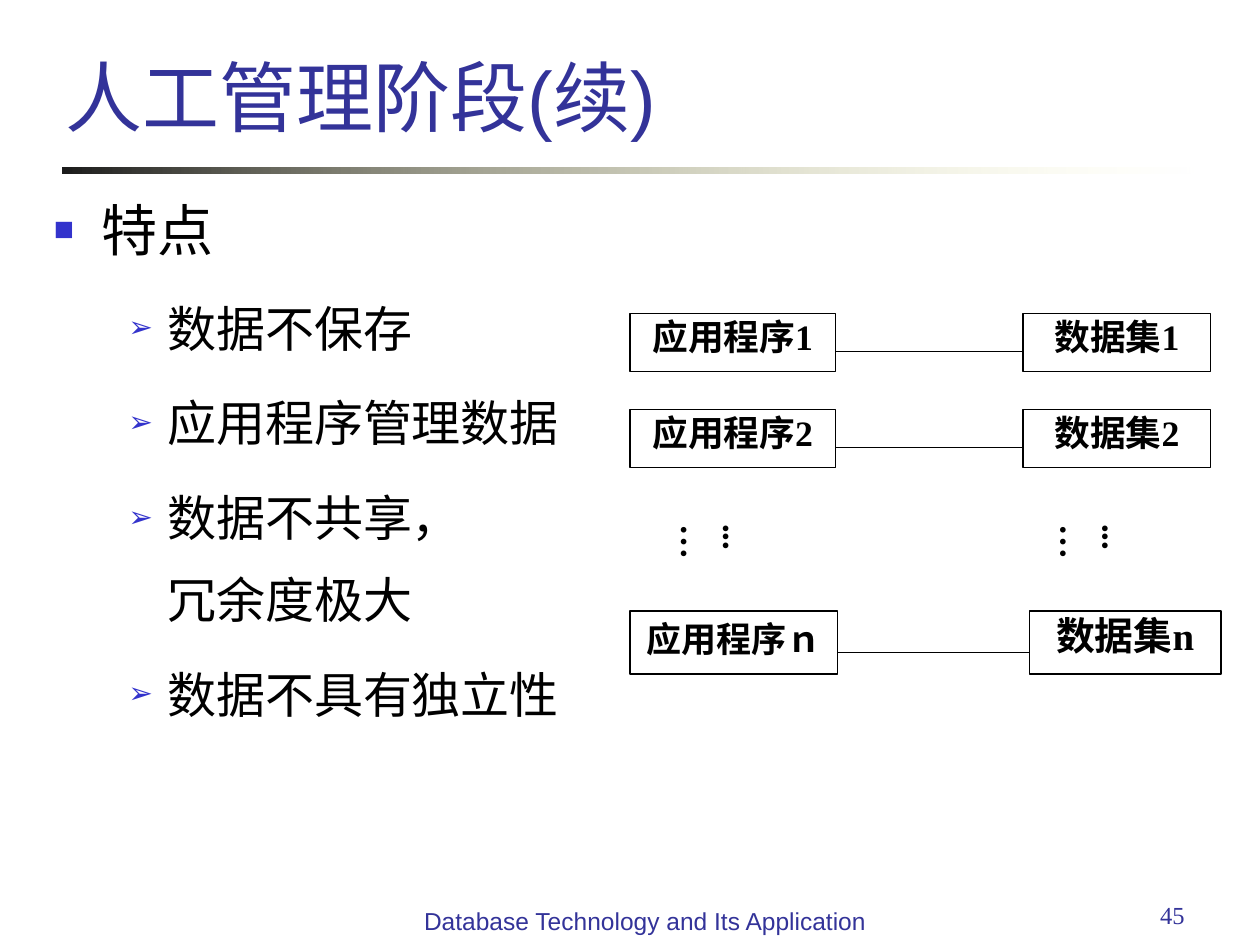
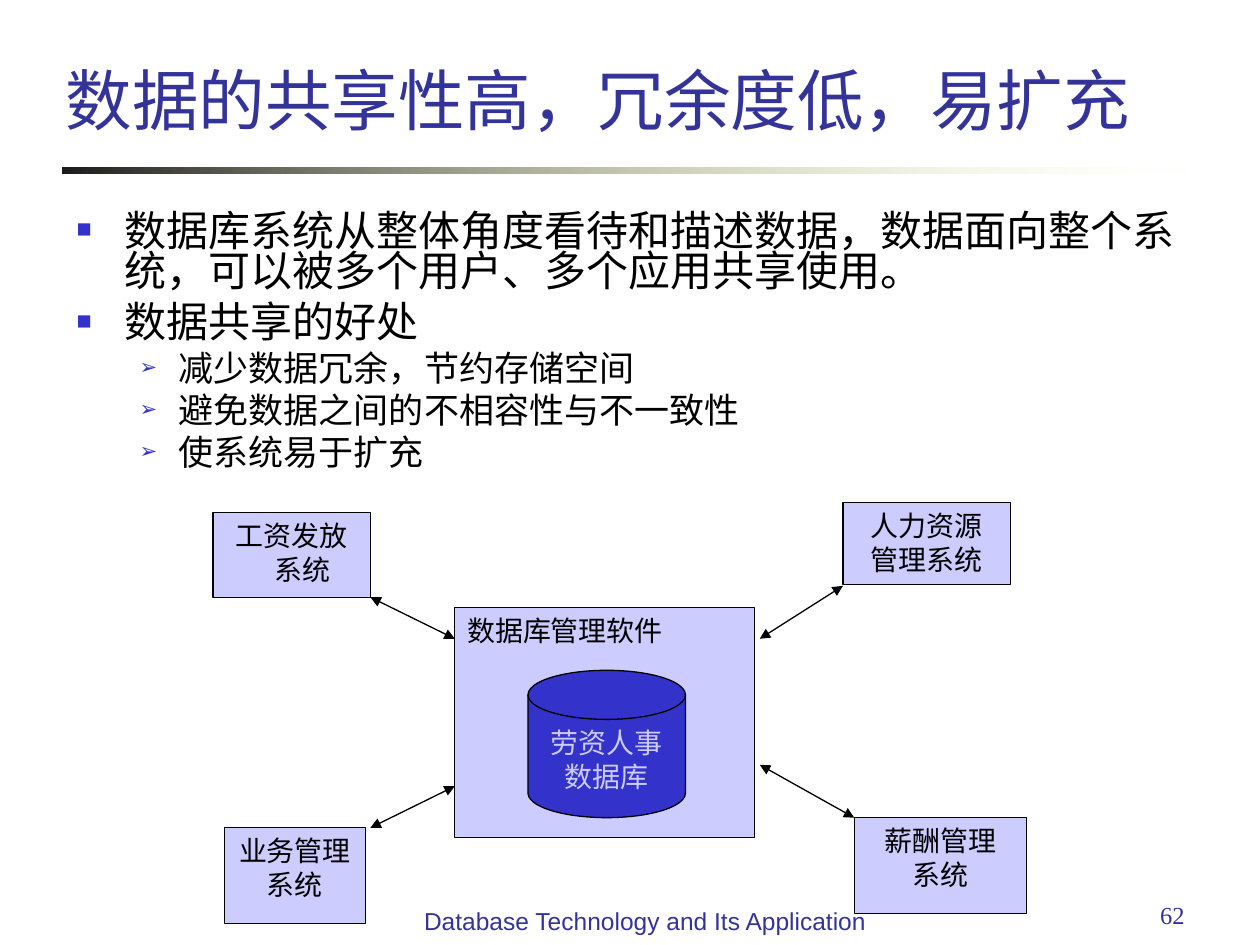
from lxml.etree import SubElement
from pptx import Presentation
from pptx.dml.color import RGBColor
from pptx.enum.lang import MSO_LANGUAGE_ID as Lang
from pptx.enum.shapes import MSO_CONNECTOR, MSO_SHAPE as Shape
from pptx.enum.text import MSO_ANCHOR as Anchor, MSO_AUTO_SIZE as AutoSize, PP_ALIGN as Align
from pptx.oxml.ns import qn
from pptx.util import Emu, Inches, Pt

PX = Inches(0.01)
BLACK = RGBColor(0x00, 0x00, 0x00)
WHITE = RGBColor(0xFF, 0xFF, 0xFF)
NAVY = RGBColor(0x33, 0x33, 0x99)
BLUE = RGBColor(0x33, 0x33, 0xCC)
LILAC = RGBColor(0xCC, 0xCC, 0xFF)
CHARCOAL = RGBColor(0x1C, 0x1C, 0x1C)
CREAM = RGBColor(0xFF, 0xFF, 0xB7)
SANS = "Arial"
SERIF = "Times New Roman"
FOOTER = "Database Technology and Its Application"


def px(*lengths):
    return [Emu(length * PX) for length in lengths]


class Deck:
    def __init__(self):
        self.deck = Presentation()
        self.deck.slide_width, self.deck.slide_height = px(1000, 750)
        self.page = None

    def start_page(self, title, size, top):
        """Add a slide with its title and the fading rule below it."""
        self.page = self.deck.slides.add_slide(self.deck.slide_layouts[5])
        box = self.page.shapes.title
        box.left, box.top, box.width, box.height = px(42, top, 878, 118)
        frame = box.text_frame
        frame.auto_size = AutoSize.NONE
        frame.vertical_anchor = Anchor.BOTTOM
        self.fill_para(frame.paragraphs[0], title, size, SANS, NAVY)

        rule = self.page.shapes.add_shape(Shape.RECTANGLE, *px(50, 133, 900, 5))
        rule.shadow.inherit = False
        rule.line.fill.background()
        rule.fill.gradient()
        rule.fill.gradient_angle = 0
        for stop, color in zip(rule.fill.gradient_stops, (CHARCOAL, CREAM)):
            stop.color.rgb = color
        last_color = rule.element.findall(".//" + qn("a:srgbClr"))[-1]
        SubElement(last_color, qn("a:alpha"), val="0")

    def fill_para(self, para, text, size, font, color, bold=False, align=Align.LEFT):
        """Fill a paragraph, with a line break at each newline."""
        para.alignment = align
        for index, line in enumerate(text.split("\n")):
            if index:
                para.add_line_break()
            span = para.add_run()
            span.text = line
            span.font.size = Pt(size)
            span.font.name = font
            span.font.bold = bold
            span.font.color.rgb = color
            if not line.isascii():
                span.font.language_id = Lang.SIMPLIFIED_CHINESE

    def text(self, place, text, size, font, color, align=Align.LEFT):
        box = self.page.shapes.add_textbox(*px(*place))
        box.text_frame.word_wrap = True
        self.fill_para(box.text_frame.paragraphs[0], text, size, font, color, align=align)

    def bullets(self, place, items, sizes, spacings, befores, indents):
        """Set (level, text) items; the other lists hold one value per level."""
        frame = self.page.shapes.add_textbox(*px(*place)).text_frame
        frame.word_wrap = True
        for index, (level, text) in enumerate(items):
            para = frame.add_paragraph() if index else frame.paragraphs[0]
            self.fill_para(para, text, sizes[level], SANS, BLACK)
            para.level = level
            para.line_spacing = spacings[level]
            para.space_before = Pt(befores[level])
            margin, hanging = px(*indents[level])
            props = para._p.get_or_add_pPr()
            props.set("marL", str(margin))
            props.set("indent", str(-hanging))
            color = SubElement(props, qn("a:buClr"))
            SubElement(color, qn("a:srgbClr"), val=str(BLUE))
            SubElement(props, qn("a:buSzPct"), val="60000")
            SubElement(props, qn("a:buFont"), typeface=SANS)
            SubElement(props, qn("a:buChar"), char="■➢"[level])

    def node(self, place, lines, size=16, fill=LILAC, color=BLACK, bold=False,
             kind=Shape.RECTANGLE, align=Align.CENTER, spacing=1.0):
        """Draw an outlined shape, one paragraph per line of text."""
        shape = self.page.shapes.add_shape(kind, *px(*place))
        shape.shadow.inherit = False
        shape.fill.solid()
        shape.fill.fore_color.rgb = fill
        shape.line.color.rgb = BLACK
        shape.line.width = Pt(0.75)
        frame = shape.text_frame
        frame.word_wrap = True
        frame.vertical_anchor = Anchor.TOP
        for index, line in enumerate(lines):
            para = frame.add_paragraph() if index else frame.paragraphs[0]
            self.fill_para(para, line, size, SERIF, color, bold, align)
            para.line_spacing = spacing
        return frame

    def link(self, start, end, arrows=False):
        line = self.page.shapes.add_connector(MSO_CONNECTOR.STRAIGHT, *px(*start, *end))
        line.line.color.rgb = BLACK
        line.line.width = Pt(0.75)
        props = line.element.spPr
        if arrows:
            for tip in ("a:headEnd", "a:tailEnd"):
                SubElement(props.find(qn("a:ln")), qn(tip), type="triangle")
        SubElement(props, qn("a:effectLst"))

    def vertical_dots(self, left, top):
        box = self.page.shapes.add_textbox(*px(left, top, 86, 57))
        frame = box.text_frame
        frame.word_wrap = True
        frame.auto_size = AutoSize.SHAPE_TO_FIT_TEXT
        frame.margin_left, frame.margin_top, frame.margin_right, frame.margin_bottom = px(5, 10, 5, 10)
        box.element.find(".//" + qn("a:bodyPr")).set("vert", "eaVert")
        para = frame.paragraphs[0]
        self.fill_para(para, "...…", 20, SERIF, BLACK, bold=True)
        para.space_before = Pt(12.5)

    def finish_page(self, number):
        """Add the page number and the footer on top of the rest."""
        self.text((717, 709, 233, 52), str(number), 14, SERIF, NAVY, Align.RIGHT)
        self.text((319, 714, 386, 52), FOOTER, 14, SANS, NAVY, Align.CENTER)


def manual_stage(deck):
    deck.start_page("人工管理阶段(续)", 44, 0)
    deck.bullets(
        (33, 150, 459, 521),
        [(0, "特点"), (1, "数据不保存"), (1, "应用程序管理数据"),
         (1, "数据不共享，\n冗余度极大"), (1, "数据不具有独立性")],
        sizes=(32, 28), spacings=(1.0, 1.4), befores=(8, 7), indents=((38, 38), (90, 31)))

    for row in range(2):
        top = 249 + 76 * row
        for left, width, name in ((500, 163, "应用程序"), (812, 149, "数据集")):
            deck.node((left, top, width, 46), [f"{name}{row + 1}"], 20.4, WHITE,
                      bold=True, spacing=0.9)
        deck.link((663, top + 30), (812, top + 30))

    deck.node((500, 485, 165, 50), ["应用程序ｎ"], 20, WHITE, bold=True)
    deck.node((817, 485, 152, 50), ["数据集n"], 22.2, WHITE, bold=True, spacing=0.9)
    deck.link((665, 518), (817, 518))
    for left in (521, 822):
        deck.vertical_dots(left, 406)
    deck.finish_page(45)


def shared_data(deck):
    deck.start_page("数据的共享性高，冗余度低，易扩充", 38, -3)
    deck.bullets(
        (51, 165, 895, 241),
        [(0, "数据库系统从整体角度看待和描述数据，数据面向整个系统，可以被多个用户、多个应用共享使用。"),
         (0, "数据共享的好处"), (1, "减少数据冗余，节约存储空间"),
         (1, "避免数据之间的不相容性与不一致性"), (1, "使系统易于扩充")],
        sizes=(24, 20), spacings=(0.8, 0.8), befores=(6, 5), indents=((38, 38), (81, 31)))

    payroll = deck.node((169, 407, 125, 67), ["工资发放", "系统"])
    payroll.paragraphs[1]._p.get_or_add_pPr().set("marL", str(Pt(12)))
    deck.node((361, 482, 238, 183), ["数据库管理软件"], align=Align.LEFT)
    deck.node((419, 532, 125, 117), ["劳资人事数据库"], fill=BLUE, color=LILAC,
              kind=Shape.FLOWCHART_MAGNETIC_DISK)
    deck.node((669, 399, 133, 65), ["人力资源", "管理系统"])
    deck.node((678, 649, 137, 76), ["薪酬管理", "系统"])
    deck.node((178, 657, 112, 76), ["业务管理 系统"])

    for system, database in (((294, 474), (361, 507)), ((294, 657), (361, 624)),
                             ((678, 649), (603, 607)), ((669, 465), (603, 507))):
        deck.link(system, database, arrows=True)
    deck.finish_page(62)


def main():
    deck = Deck()
    manual_stage(deck)
    shared_data(deck)
    deck.deck.save("out.pptx")


if __name__ == "__main__":
    main()
